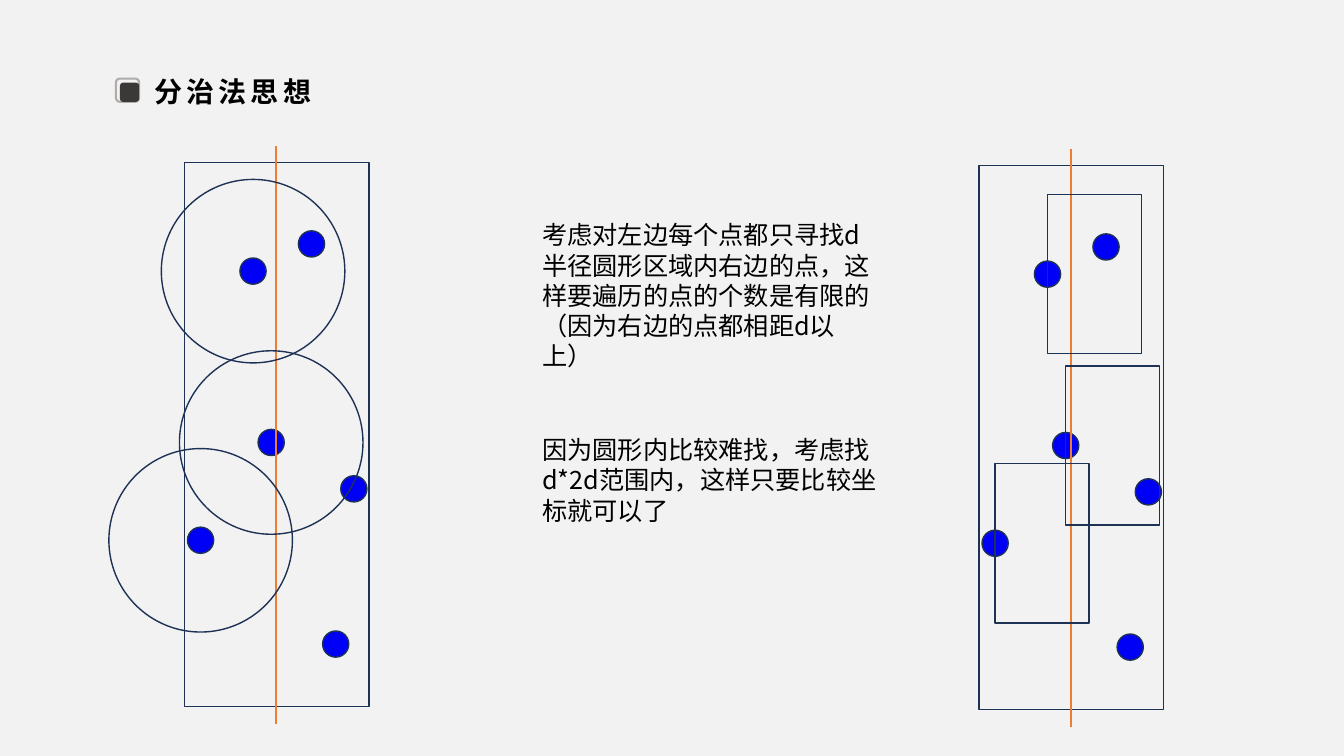
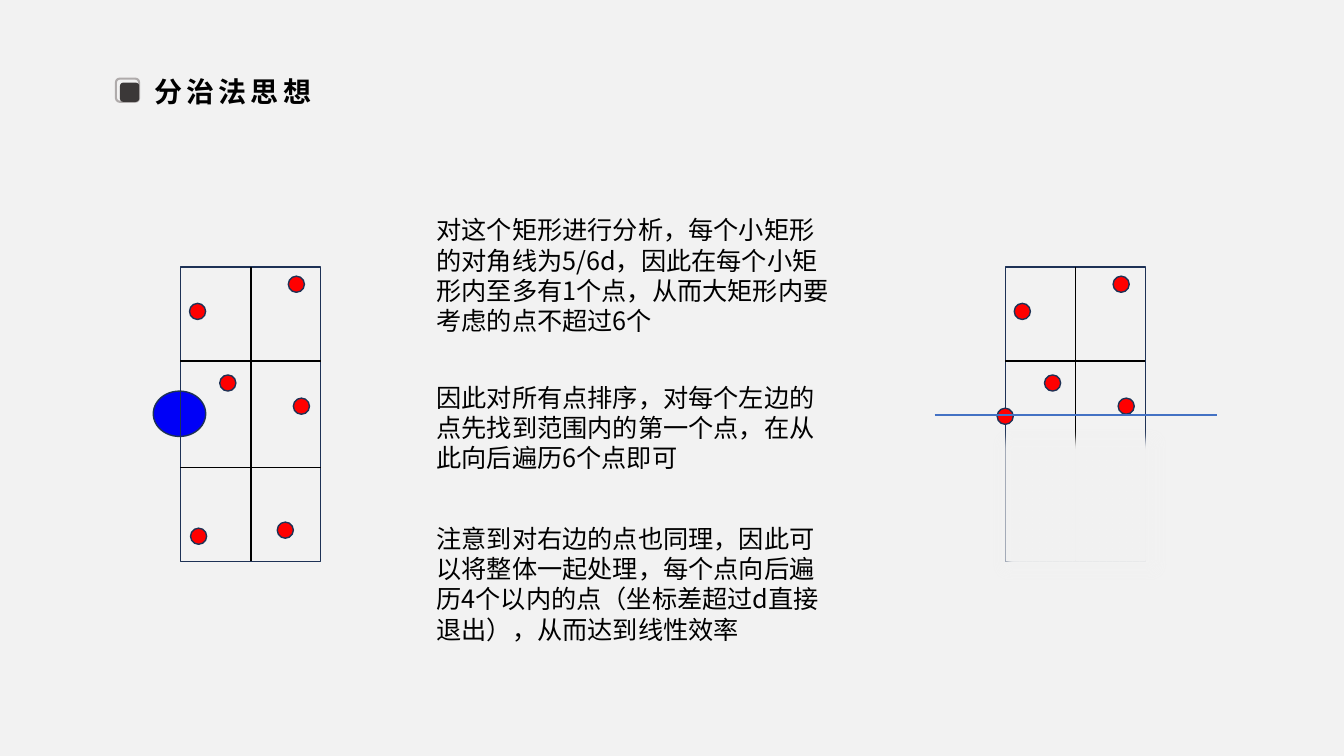
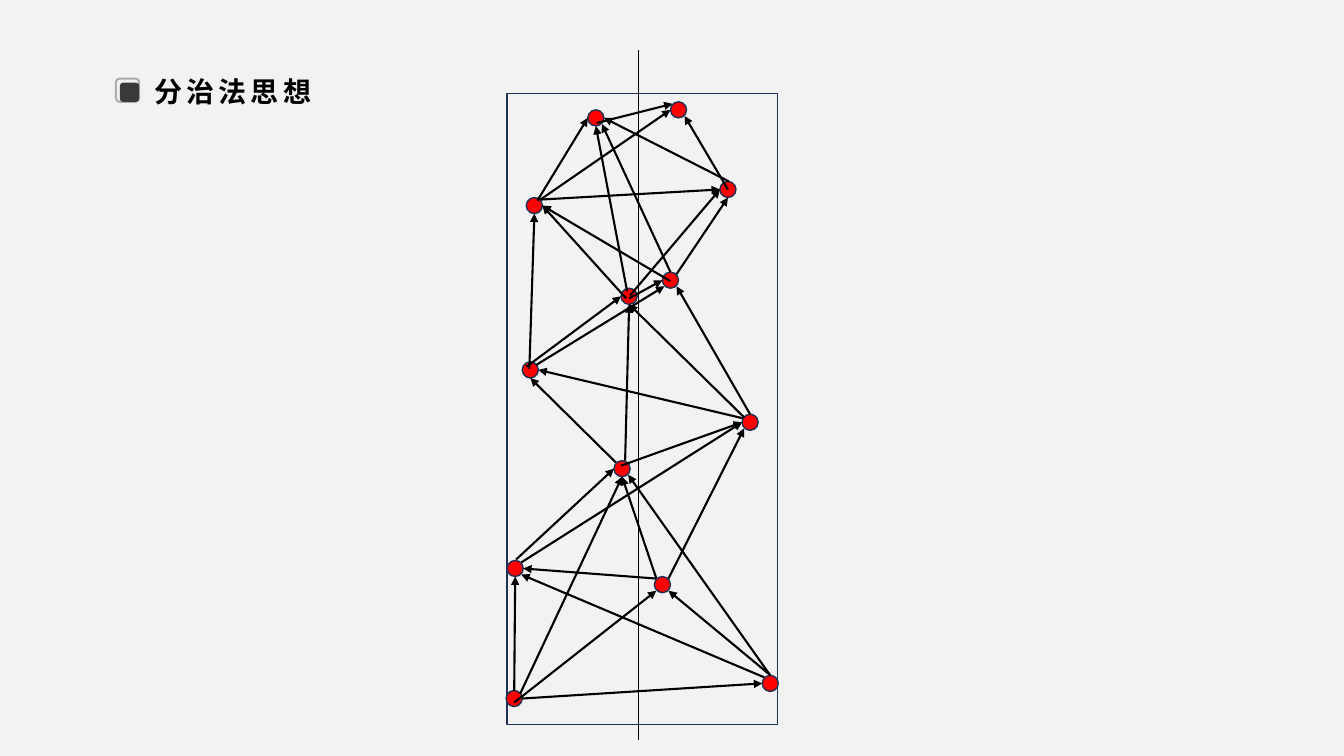
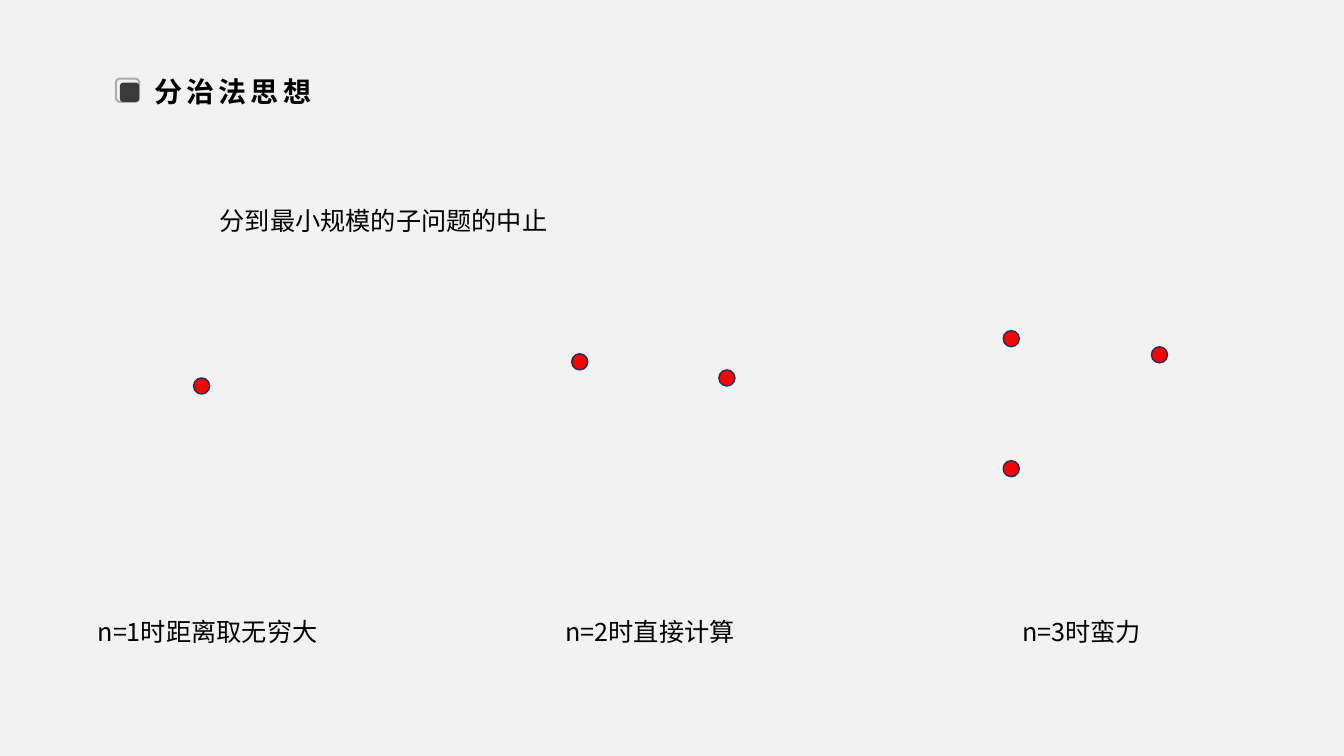
from lxml.etree import SubElement
from pptx import Presentation
from pptx.dml.color import RGBColor
from pptx.enum.shapes import MSO_CONNECTOR, MSO_SHAPE
from pptx.enum.text import MSO_AUTO_SIZE
from pptx.oxml.ns import qn
from pptx.util import Emu, Pt

EMU_PER_PX = 9144  # 100 px to the inch
FONT = "Noto Sans CJK SC"

PAPER = RGBColor(0xF2, 0xF2, 0xF2)
BLACK = RGBColor(0x00, 0x00, 0x00)
NAVY = RGBColor(0x1E, 0x32, 0x56)
BLUE = RGBColor(0x00, 0x00, 0xF7)
RED = RGBColor(0xFF, 0x00, 0x00)
ORANGE = RGBColor(0xED, 0x7D, 0x31)
SWEEP_BLUE = RGBColor(0x44, 0x72, 0xC4)
MARK_GREY = RGBColor(0xAF, 0xAB, 0xAB)
MARK_DARK = RGBColor(0x3B, 0x38, 0x38)

TITLE = "分治法思想"
BLUE_DOT, RED_DOT = 26, 16

# Search areas: circles of radius d on the left, d x 2d boxes on the right
STRIP = (183, 161, 183, 540)
STRIP_MIDDLE = (274, 145, 274, 718)
SEARCHING_DOTS = [(238, 256), (186, 523), (256, 426)]
OTHER_DOTS = [(320, 626), (296, 229), (338, 472)]
CIRCLE = 182
BOX_W, BOX_H = 93, 158
BOX_PANEL_SHIFT = (788, 3)
SEARCH_NOTES = [
    ((528, 213, 359, 131),
     "考虑对左边每个点都只寻找d半径圆形区域内右边的点，这样要遍历的点的个数是有限的（因为右边的点都相距d以上）"),
    ((528, 426, 355, 101),
     "因为圆形内比较难找，考虑找d*2d范围内，这样只要比较坐标就可以了"),
]

# The d x 2d box divided into six cells
GRID = (179, 265, 139, 292)
ROW_LINES = [358, 464]
UPPER_DOTS = [(188, 301), (286, 274), (218, 372), (291, 395)]
LOWER_DOTS = [(189, 524), (275, 518)]
QUERY_POINT = (152, 388, 52, 45)
SWEPT_GRID_SHIFT = 818
SWEEP_DOT = (989, 405)
SWEEP_LINE = (927, 412, 1207, 412)
FADE = (979, 420, 183, 161)
GRID_NOTES = [
    ((423, 208, 415, 131),
     "对这个矩形进行分析，每个小矩形的对角线为5/6d，因此在每个小矩形内至多有1个点，从而大矩形内要考虑的点不超过6个"),
    ((423, 374, 415, 101),
     "因此对所有点排序，对每个左边的点先找到范围内的第一个点，在从此向后遍历6个点即可"),
    ((423, 514, 415, 131),
     "注意到对右边的点也同理，因此可以将整体一起处理，每个点向后遍历4个以内的点（坐标差超过d直接退出），从而达到线性效率"),
]

# Points from bottom to top, each compared with those that follow it
SCAN_STRIP = (503, 93, 268, 626)
SCAN_MIDDLE = (633, 50, 633, 734)
SCAN_DOTS = {
    "A": (502, 685), "B": (756, 670), "C": (503, 556), "D": (649, 572),
    "E": (609, 457), "F": (736, 411), "G": (518, 359), "H": (616, 286),
    "I": (657, 270), "J": (522, 196), "K": (714, 180), "L": (583, 109),
    "M": (665, 101),
}
# Where an arrow meets its target dot, measured from the centre
SITES = {"W": (-8, 0), "E": (8, 0), "S": (0, 8),
         "SW": (-6, 6), "SE": (6, 6), "NW": (-6, -6)}
# source: (target, target site, start dx, start dy)
COMPARISONS = {
    "A": [("B", "W", 8, 0), ("D", "SW", 0, 4), ("C", "S", 0, -8), ("E", "S", 6, -5)],
    "B": [("D", "SE", -1, -9), ("C", "SE", -6, -6), ("E", "SE", 0, -8)],
    "D": [("C", "E", -6, -6), ("E", "S", -6, -6), ("F", "SW", 6, -6)],
    "C": [("E", "W", 1, -9), ("F", "W", 6, -6)],
    "E": [("F", "W", -1, -3), ("G", "S", -6, -6), ("H", "S", 3, -8)],
    "F": [("G", "E", -7, -4), ("H", "S", -6, -5), ("I", "SE", 0, -8)],
    "G": [("H", "W", -4, -3), ("I", "SW", 6, -5), ("J", "S", -1, -1)],
    "H": [("I", "W", 0, 2), ("J", "E", -3, 2), ("K", "W", 1, -1), ("L", "S", -2, -5)],
    "I": [("J", "E", 0, 1), ("K", "S", 6, -6), ("L", "SE", 0, -8)],
    "J": [("K", "W", 6, -6), ("L", "W", 3, -5), ("M", "W", 6, -6)],
    "K": [("L", "E", 1, -8), ("M", "SE", 0, 0)],
    "L": [("M", "NW", 1, 5)],
}

# Smallest subproblems
BASE_DOTS = [(192, 375), (567, 351), (713, 367), (995, 328), (1142, 344), (995, 457)]
BASE_NOTES = [
    ((208, 199, 348, 40), "分到最小规模的子问题的中止"),
    ((87, 607, 241, 40), "n=1时距离取无穷大"),
    ((551, 607, 190, 40), "n=2时直接计算"),
    ((1004, 607, 140, 40), "n=3时蛮力"),
]


def px(*lengths):
    return [Emu(length * EMU_PER_PX) for length in lengths]


def add_figure(shapes, preset, frame, fill=None, line=NAVY, weight=1):
    figure = shapes.add_shape(preset, *px(*frame))
    figure.shadow.inherit = False
    if fill is None:
        figure.fill.background()
    else:
        figure.fill.solid()
        figure.fill.fore_color.rgb = fill
    if line is None:
        figure.line.fill.background()
    else:
        figure.line.color.rgb = line
        figure.line.width = Pt(weight)
    return figure


def add_rect(shapes, frame, fill=None):
    return add_figure(shapes, MSO_SHAPE.RECTANGLE, frame, fill)


def add_dots(shapes, corners, size, fill):
    for x, y in corners:
        add_figure(shapes, MSO_SHAPE.OVAL, (x, y, size, size), fill)


def add_line(shapes, ends, color=BLACK, weight=1, arrow=False):
    connector = shapes.add_connector(MSO_CONNECTOR.STRAIGHT, *px(*ends))
    connector.line.color.rgb = color
    connector.line.width = Pt(weight)
    properties = connector.element.spPr
    if arrow:
        SubElement(properties.find(qn("a:ln")), qn("a:tailEnd"), type="triangle")
    SubElement(properties, qn("a:effectLst"))


def add_text(shapes, frame, text, size=18, bold=False, spacing=None):
    frame_text = shapes.add_textbox(*px(*frame)).text_frame
    frame_text.word_wrap = True
    frame_text.auto_size = MSO_AUTO_SIZE.SHAPE_TO_FIT_TEXT
    run = frame_text.paragraphs[0].add_run()
    run.text = text
    run.font.size = Pt(size)
    run.font.bold = bold
    run.font.color.rgb = BLACK
    run.font.name = FONT
    properties = run.font._element
    SubElement(properties, qn("a:ea"), typeface=FONT)
    if spacing:
        properties.set("spc", str(spacing * 100))


def add_notes(shapes, notes):
    for frame, text in notes:
        add_text(shapes, frame, text)


def new_slide(deck):
    """Add a slide with the shared background and title; return its shapes."""
    slide = deck.slides.add_slide(deck.slide_layouts[6])
    slide.background.fill.solid()
    slide.background.fill.fore_color.rgb = PAPER
    heading = slide.shapes.add_group_shape().shapes
    rounded = MSO_SHAPE.ROUNDED_RECTANGLE
    add_figure(heading, rounded, (115, 78, 23, 23), line=MARK_GREY, weight=1.5)
    add_figure(heading, rounded, (119, 82, 19, 19), MARK_DARK, line=None)
    add_text(heading, (143, 69, 223, 44), TITLE, 20, bold=True, spacing=3)
    return slide.shapes


def add_search_panel(shapes, dx, dy, boxes):
    """Draw the strip with its dots and a box or circle for each searching dot."""
    searching = [(x + dx, y + dy) for x, y in SEARCHING_DOTS]
    others = [(x + dx, y + dy) for x, y in OTHER_DOTS]
    add_dots(shapes, others + searching, BLUE_DOT, BLUE)
    x, y, w, h = STRIP
    add_rect(shapes, (x + dx, y + dy, w, h))
    x1, y1, x2, y2 = STRIP_MIDDLE
    add_line(shapes, (x1 + dx, y1 + dy, x2 + dx, y2 + dy), ORANGE, 1.5)
    for x, y in searching:
        cx, cy = x + BLUE_DOT // 2, y + BLUE_DOT // 2
        if boxes:
            add_rect(shapes, (cx, cy - BOX_H // 2, BOX_W, BOX_H))
        else:
            add_figure(shapes, MSO_SHAPE.OVAL,
                       (cx - CIRCLE // 2, cy - CIRCLE // 2, CIRCLE, CIRCLE))


def add_grid(shapes, dx, row_lines, dots):
    x, y, w, h = GRID
    x += dx
    add_rect(shapes, (x, y, w, h))
    middle = x + (w + 1) // 2
    add_line(shapes, (middle, y, middle, y + h))
    for row in row_lines:
        add_line(shapes, (x, row, x + w, row))
    add_dots(shapes, [(left + dx, top) for left, top in dots], RED_DOT, RED)


def build_search_slide(deck):
    shapes = new_slide(deck)
    add_notes(shapes, SEARCH_NOTES)
    add_search_panel(shapes, 0, 0, boxes=False)
    add_search_panel(shapes, *BOX_PANEL_SHIFT, boxes=True)


def build_grid_slide(deck):
    shapes = new_slide(deck)
    add_notes(shapes, GRID_NOTES)
    add_figure(shapes, MSO_SHAPE.OVAL, QUERY_POINT, BLUE)
    add_grid(shapes, 0, ROW_LINES, UPPER_DOTS + LOWER_DOTS)
    add_grid(shapes, SWEPT_GRID_SHIFT, ROW_LINES[:1], UPPER_DOTS)
    add_dots(shapes, [SWEEP_DOT], RED_DOT, RED)
    add_line(shapes, SWEEP_LINE, SWEEP_BLUE, 1.5)
    fade = add_rect(shapes, FADE, PAPER)
    effects = fade.element.spPr.find(qn("a:effectLst"))
    SubElement(effects, qn("a:softEdge"), rad=str(Pt(10)))


def build_scan_slide(deck):
    shapes = new_slide(deck)
    add_rect(shapes, SCAN_STRIP)
    add_line(shapes, SCAN_MIDDLE)
    add_dots(shapes, SCAN_DOTS.values(), RED_DOT, RED)
    half = RED_DOT // 2
    centres = {name: (x + half, y + half) for name, (x, y) in SCAN_DOTS.items()}
    for source, comparisons in COMPARISONS.items():
        x1, y1 = centres[source]
        for target, site, dx, dy in comparisons:
            x2, y2 = centres[target]
            site_dx, site_dy = SITES[site]
            add_line(shapes, (x1 + dx, y1 + dy, x2 + site_dx, y2 + site_dy),
                     weight=1.5, arrow=True)


def build_base_slide(deck):
    shapes = new_slide(deck)
    add_dots(shapes, BASE_DOTS, RED_DOT, RED)
    add_notes(shapes, BASE_NOTES)


def main():
    deck = Presentation()
    deck.slide_width, deck.slide_height = px(1333, 750)
    build_search_slide(deck)
    build_grid_slide(deck)
    build_scan_slide(deck)
    build_base_slide(deck)
    deck.save("out.pptx")


if __name__ == "__main__":
    main()
